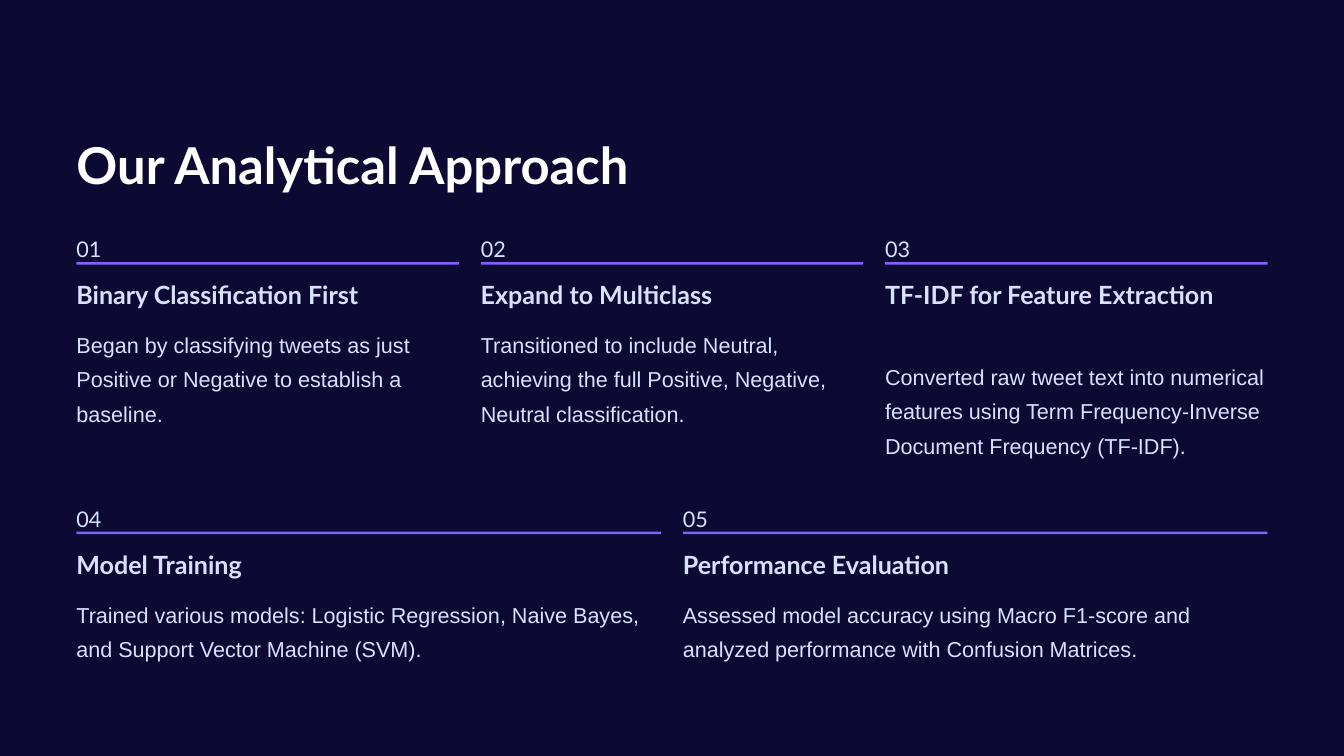
from dataclasses import dataclass

from pptx import Presentation
from pptx import util as u
from pptx.dml.color import RGBColor
from pptx.enum import shapes

NIGHT, WHITE, PALE, VIOLET = "0C0A33", "FFFFFF", "D9E1FF", "8061FF"
WIDE, HIGH = 16, 9
LEFT, WIDTH, GAP = 0.91, 14.18, 0.26
LINE = 0.38  # height of one heading line


@dataclass
class Box:
    left: float
    top: float
    width: float
    height: float

    def emu(self) -> list[int]:
        return [u.Inches(n) for n in (self.left, self.top, self.width, self.height)]


@dataclass
class Font:
    name: str
    size: float
    lead: float
    color: str = PALE
    bold: bool = False


@dataclass
class Step:
    head: str
    span: float  # heading width
    body: str
    lines: int = 1  # heading lines


@dataclass
class Row:
    top: float
    depth: float  # body height
    steps: list[Step]


TITLE = Font("Lato", 43.5, 54.5, WHITE, True)
NUMBER = Font("Lato", 18.5, 29.5)
HEAD = Font("Lato", 21.5, 27, bold=True)
BODY = Font("Arial", 18.5, 29.5)

ROWS = [
    Row(2.71, 1.24, [
        Step("Binary Classification First", 4.23,
             "Began by classifying tweets as just Positive or Negative to establish a baseline."),
        Step("Expand to Multiclass", 3.5,
             "Transitioned to include Neutral, achieving the full Positive, Negative, "
             "Neutral classification."),
        Step("TF-IDF for Feature Extraction", 4.56,
             "Converted raw tweet text into numerical features using Term Frequency-Inverse "
             "Document Frequency (TF-IDF).", 2),
    ]),
    Row(5.92, 0.83, [
        Step("Model Training", 3.05,
             "Trained various models: Logistic Regression, Naive Bayes, "
             "and Support Vector Machine (SVM)."),
        Step("Performance Evaluation", 4.09,
             "Assessed model accuracy using Macro F1-score and analyzed performance "
             "with Confusion Matrices."),
    ]),
]


def write(slide, box: Box, words: str, font: Font, wrap: bool = False) -> None:
    frame = slide.shapes.add_textbox(*box.emu()).text_frame
    frame.margin_left = frame.margin_right = frame.margin_top = frame.margin_bottom = 0
    frame.word_wrap = wrap
    frame.text = words
    para = frame.paragraphs[0]
    para.line_spacing = u.Pt(font.lead)
    face = para.runs[0].font
    face.name, face.size, face.bold = font.name, u.Pt(font.size), font.bold
    face.color.rgb = RGBColor.from_string(font.color)


def block(slide, box: Box, color: str) -> None:
    """Draw a plain filled rectangle."""
    rect = slide.shapes.add_shape(shapes.MSO_SHAPE.RECTANGLE, *box.emu())
    rect.shadow.inherit = False
    rect.fill.solid()
    rect.fill.fore_color.rgb = RGBColor.from_string(color)
    rect.line.fill.background()


def draw(slide, step: Step, number: int, left: float, width: float, row: Row) -> None:
    tall = step.lines * LINE
    write(slide, Box(left, row.top, 0.32, 0.32), f"{number:02}", NUMBER)
    block(slide, Box(left, row.top + 0.41, width, 0.03), VIOLET)
    write(slide, Box(left, row.top + 0.6, step.span, tall), step.head, HEAD, step.lines > 1)
    write(slide, Box(left, row.top + 0.76 + tall, width, row.depth), step.body, BODY, True)


def main() -> None:
    deck = Presentation()
    deck.slide_width, deck.slide_height = u.Inches(WIDE), u.Inches(HIGH)
    slide = deck.slides.add_slide(deck.slide_layouts[6])
    block(slide, Box(0, 0, WIDE, HIGH), NIGHT)
    write(slide, Box(LEFT, 1.56, 8.19, 0.76), "Our Analytical Approach", TITLE)
    number = 0
    for row in ROWS:
        count = len(row.steps)
        width = (WIDTH - GAP * (count - 1)) / count
        for col, step in enumerate(row.steps):
            number += 1
            draw(slide, step, number, LEFT + col * (width + GAP), width, row)
    deck.save("out.pptx")


if __name__ == "__main__":
    main()
